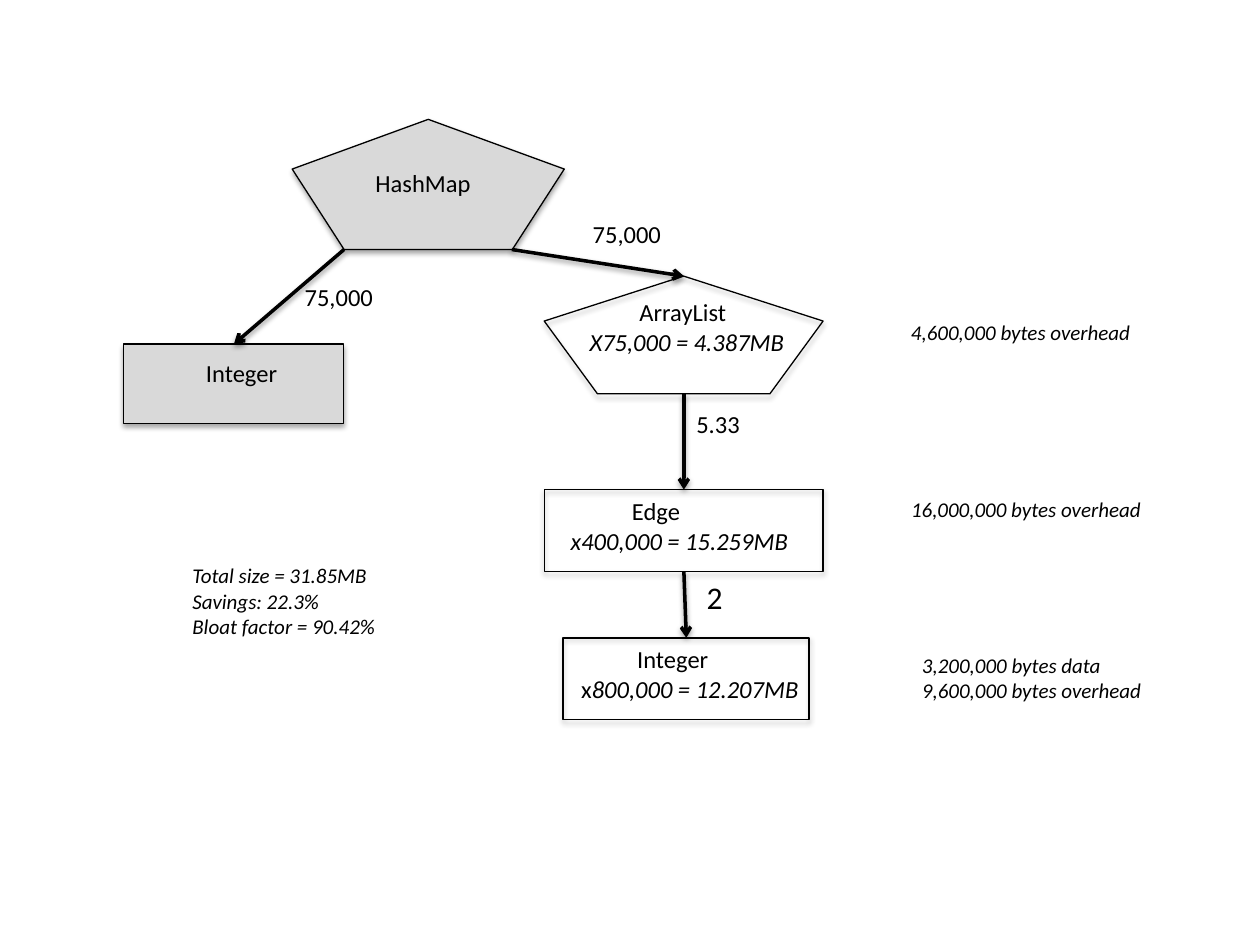
from dataclasses import dataclass
from lxml.etree import SubElement
from pptx import Presentation
from pptx.dml.color import RGBColor
from pptx.enum.shapes import MSO_CONNECTOR, MSO_SHAPE
from pptx.enum.text import MSO_AUTO_SIZE
from pptx.oxml.ns import qn
from pptx.util import Pt


@dataclass(frozen=True)
class Theme:
    ink: RGBColor = RGBColor(0, 0, 0)
    gray: RGBColor = RGBColor(0xD9, 0xD9, 0xD9)
    font: str = "Calibri"
    note: float = 12
    body: float = 14
    large: float = 18
    edge: float = 0.75
    arrow: float = 2


@dataclass(frozen=True)
class Node:
    kind: MSO_SHAPE
    x: float
    y: float
    w: float
    h: float
    gray: bool = False


@dataclass(frozen=True)
class Arrow:
    x1: float
    y1: float
    x2: float
    y2: float


@dataclass(frozen=True)
class Line:
    text: str
    slant: str = ""  # italic part that follows the upright text
    indent: float = 0


@dataclass(frozen=True)
class Label:
    x: float
    y: float
    w: float
    h: float
    size: float
    lines: tuple[Line, ...]
    wrap: bool = False


THEME = Theme()
PENTA, RECT = MSO_SHAPE.REGULAR_PENTAGON, MSO_SHAPE.RECTANGLE

NODES = [
    Node(PENTA, 167, 68.2, 155.5, 74.4, True),
    Node(PENTA, 311, 157.8, 159.4, 67.3),
    Node(RECT, 311, 279.8, 159.4, 46.8),
    Node(RECT, 70.6, 196.6, 125.8, 45.4, True),
    Node(RECT, 321.8, 364.5, 140.6, 46.7),
]

ARROWS = [
    Arrow(292.5, 142.6, 390.8, 157.8),
    Arrow(390.8, 225.1, 390.8, 279.8),
    Arrow(196.6, 142.6, 133.7, 196.6),
    Arrow(390.8, 326.6, 392.2, 364.5),
]

LABELS = [
    Label(204.5, 92.2, 74.9, 24.2, THEME.body, (Line("HashMap", indent=3),)),
    Label(319, 280, 143.3, 41.2, THEME.body,
          (Line("Edge", indent=35), Line("", "x400,000 = 15.259MB"))),
    Label(110.6, 200.9, 56.2, 24.2, THEME.body, (Line("Integer"),)),
    Label(167, 157.8, 54, 24.2, THEME.body, (Line("75,000"),)),
    Label(331.6, 121.5, 54, 24.2, THEME.body, (Line("75,000"),)),
    Label(390.8, 230.4, 39.6, 24.2, THEME.body, (Line("5.33"),)),
    Label(513.5, 179.3, 144, 21.8, THEME.note,
          (Line("", "4,600,000 bytes overhead"),)),
    Label(513.5, 280, 149.8, 21.8, THEME.note,
          (Line("", "16,000,000 bytes overhead"),)),
    Label(329.8, 166.3, 130.3, 41.2, THEME.body,
          (Line("ArrayList", indent=28.5), Line("", "X75,000 = 4.387MB"))),
    Label(322, 364.5, 145.4, 41.2, THEME.body,
          (Line("Integer", indent=35),
           Line("x", "800,000 = 12.207MB", 3))),
    Label(396.8, 327, 31.7, 29, THEME.large, (Line("2"),), True),
    Label(519.8, 369.4, 144, 36.3, THEME.note,
          (Line("", "3,200,000 bytes data"),
           Line("", "9,600,000 bytes overhead"))),
    Label(102.8, 318.2, 123.1, 50.9, THEME.note,
          (Line("", "Total size = 31.85MB"), Line("", "Savings: 22.3%"),
           Line("", "Bloat factor = 90.42%"))),
]


def shade(item, alpha: int, dist: float) -> None:
    """Give a shape or connector a soft shadow straight below."""
    props = item._element.spPr
    for old in props.findall(qn("a:effectLst")):
        props.remove(old)
    effect = SubElement(props, qn("a:effectLst"))
    cast = SubElement(effect, qn("a:outerShdw"), blurRad=str(Pt(3.1)),
                      dist=str(Pt(dist)), dir="5400000", rotWithShape="0")
    color = SubElement(cast, qn("a:srgbClr"), val=str(THEME.ink))
    SubElement(color, qn("a:alpha"), val=str(alpha * 1000))


def add_node(slide, node: Node) -> None:
    shape = slide.shapes.add_shape(
        node.kind, Pt(node.x), Pt(node.y), Pt(node.w), Pt(node.h))
    if node.gray:
        shape.fill.solid()
        shape.fill.fore_color.rgb = THEME.gray
    else:
        shape.fill.background()
    shape.line.color.rgb = THEME.ink
    shape.line.width = Pt(THEME.edge)
    shade(shape, 35, 1.8)


def add_arrow(slide, arrow: Arrow) -> None:
    link = slide.shapes.add_connector(
        MSO_CONNECTOR.STRAIGHT, Pt(arrow.x1), Pt(arrow.y1),
        Pt(arrow.x2), Pt(arrow.y2))
    link.line.color.rgb = THEME.ink
    link.line.width = Pt(THEME.arrow)
    SubElement(link.line._get_or_add_ln(), qn("a:tailEnd"), type="arrow")
    shade(link, 38, 1.6)


def add_label(slide, label: Label) -> None:
    box = slide.shapes.add_textbox(
        Pt(label.x), Pt(label.y), Pt(label.w), Pt(label.h))
    frame = box.text_frame
    frame.word_wrap = label.wrap
    frame.auto_size = MSO_AUTO_SIZE.SHAPE_TO_FIT_TEXT
    frame.text = "\n".join(line.text for line in label.lines)
    for para, line in zip(frame.paragraphs, label.lines):
        if line.indent:
            para._p.get_or_add_pPr().set("marL", str(Pt(line.indent)))
        if line.slant:
            run = para.add_run()
            run.text = line.slant
            run.font.italic = True
        for run in para.runs:
            run.font.name = THEME.font
            run.font.size = Pt(label.size)
            run.font.color.rgb = THEME.ink


deck = Presentation()
deck.slide_width, deck.slide_height = Pt(720), Pt(540)
slide = deck.slides.add_slide(deck.slide_layouts[6])

# Object boxes
for node in NODES:
    add_node(slide, node)

# References between them
for arrow in ARROWS:
    add_arrow(slide, arrow)

# Names, counts and size notes
for label in LABELS:
    add_label(slide, label)

deck.save("out.pptx")
